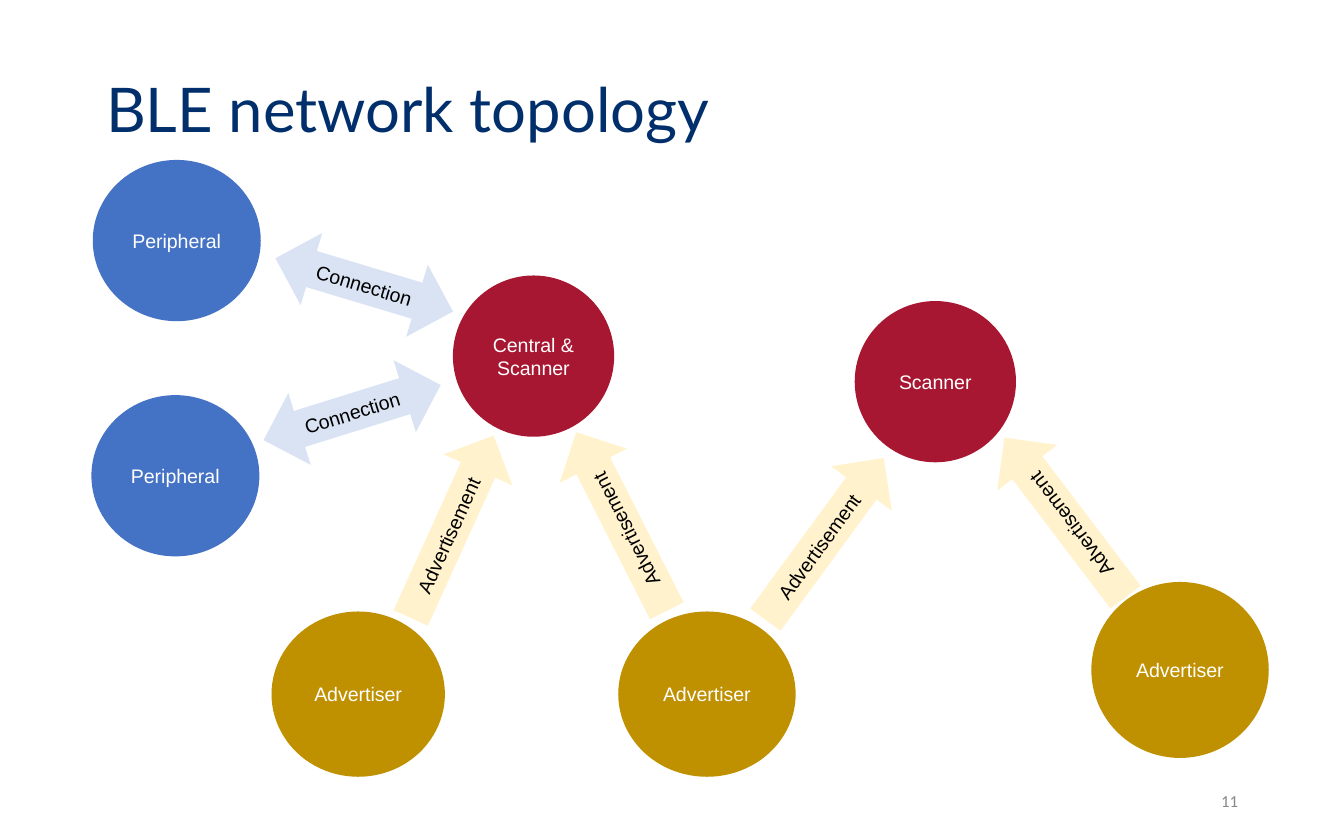
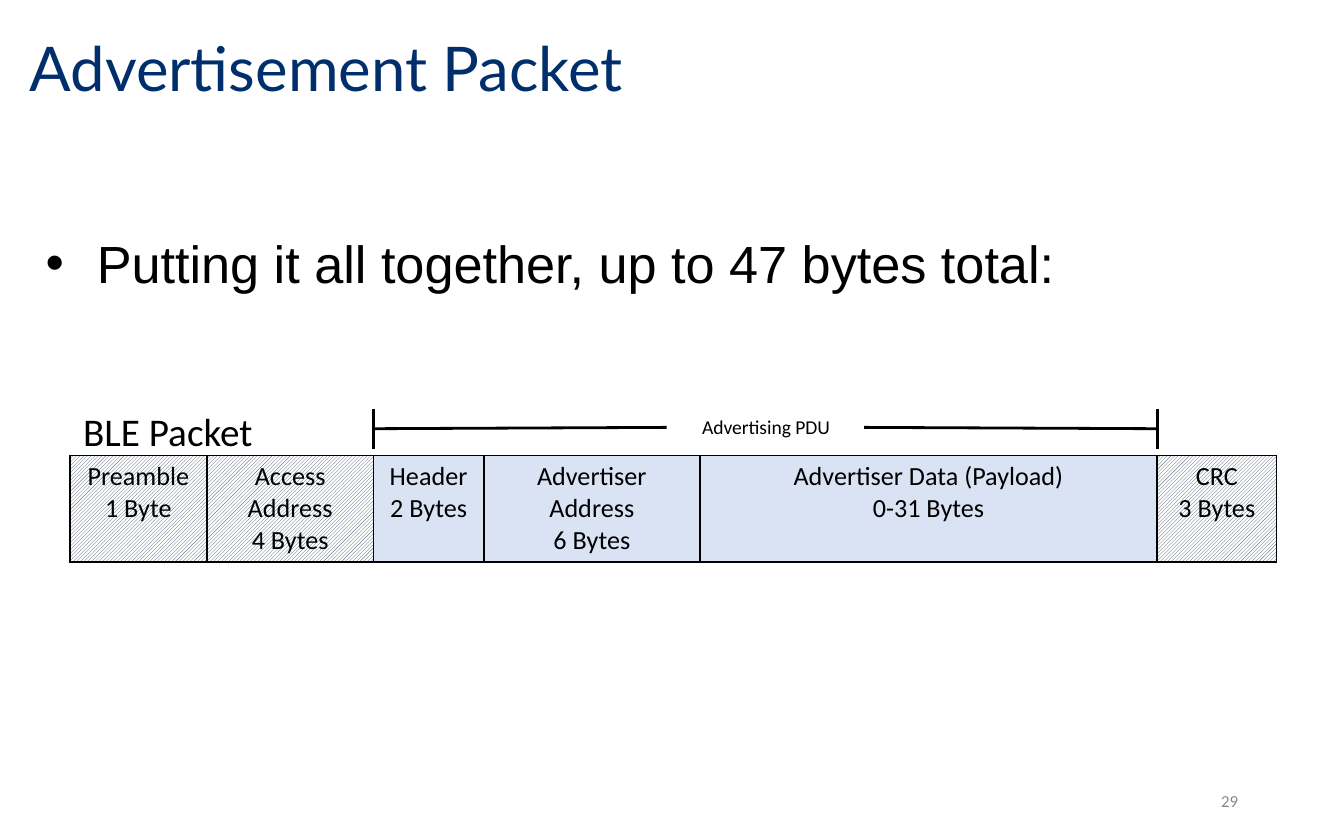
import pptx
import pptx.util
import pptx.dml.color
import pptx.enum.dml
import pptx.enum.shapes
import pptx.enum.text
import pptx.oxml.ns
from lxml import etree

Inches, Pt = pptx.util.Inches, pptx.util.Pt
SHAPE = pptx.enum.shapes.MSO_SHAPE
ALIGN = pptx.enum.text.PP_ALIGN
ANCHOR = pptx.enum.text.MSO_ANCHOR
qn = pptx.oxml.ns.qn

NAVY, BLACK, WHITE, GREY = "002F6C", "000000", "FFFFFF", "888888"
BLUE, RED, GOLD = "4472C4", "A71732", "BF9000"
PALE_BLUE, PALE_GOLD, SLATE = "DAE3F3", "FFF2CC", "44546A"


def rgb(hex_code):
    return pptx.dml.color.RGBColor.from_string(hex_code)


def place(shape, left, top, width, height):
    shape.left, shape.top = Inches(left), Inches(top)
    shape.width, shape.height = Inches(width), Inches(height)


def write(paragraph, text, size, font, color, align=ALIGN.LEFT):
    """Fill a paragraph, with a line break at each newline."""
    paragraph.alignment = align
    for number, line in enumerate(text.split("\n")):
        if number:
            paragraph.add_line_break()
            line_break = paragraph._p.findall(qn("a:br"))[-1]
            etree.SubElement(line_break, qn("a:rPr"), sz=str(size * 100))
        run = paragraph.add_run()
        run.text = line
        run.font.size = Pt(size)
        run.font.name = font
        run.font.color.rgb = rgb(color)


def add_label(slide, box, text, size, align=ALIGN.LEFT, color=BLACK,
              anchor=ANCHOR.TOP):
    label = slide.shapes.add_textbox(*map(Inches, box))
    frame = label.text_frame
    frame.word_wrap = True
    frame.vertical_anchor = anchor
    write(frame.paragraphs[0], text, size, "Calibri", color, align)


def add_slide(deck, layout, title, title_box, number):
    """Start a slide with its title and page number."""
    slide = deck.slides.add_slide(deck.slide_layouts[layout])
    heading = slide.shapes.title
    place(heading, *title_box)
    heading.text_frame.vertical_anchor = ANCHOR.MIDDLE
    paragraph = heading.text_frame.paragraphs[0]
    paragraph.line_spacing = 0.9
    write(paragraph, title, 33, "Lato", NAVY)
    add_label(slide, (7.06, 5.79, 2.25, 0.33), number, 9,
              ALIGN.RIGHT, GREY, ANCHOR.MIDDLE)
    return slide


def add_figure(slide, kind, box, fill, text, color, rotation=0):
    figure = slide.shapes.add_shape(kind, *map(Inches, box))
    figure.rotation = rotation
    figure.shadow.inherit = False
    figure.fill.solid()
    figure.fill.fore_color.rgb = rgb(fill)
    figure.line.fill.background()
    frame = figure.text_frame
    frame.word_wrap = True
    frame.vertical_anchor = ANCHOR.MIDDLE
    write(frame.paragraphs[0], text, 10.5, "Arial", color, ALIGN.CENTER)


def add_line(slide, start, end):
    line = slide.shapes.add_connector(
        pptx.enum.shapes.MSO_CONNECTOR.STRAIGHT, *map(Inches, start + end))
    line.line.color.rgb = rgb(BLACK)
    line.line.width = Pt(1.5)
    etree.SubElement(line._element.spPr, qn("a:effectLst"))


def add_bullet(paragraph, text):
    properties = paragraph._p.get_or_add_pPr()
    properties.set("marL", str(Inches(0.5)))
    properties.set("indent", str(Inches(-0.38)))
    etree.SubElement(properties, qn("a:buFont"), typeface="Arial")
    etree.SubElement(properties, qn("a:buChar"), char="•")
    paragraph.space_before = Pt(0)
    write(paragraph, text, 28, "Arial", BLACK)


def add_borders(cell):
    """Outline a cell; borders must come before its fill."""
    properties = cell._tc.get_or_add_tcPr()
    for position, side in enumerate(("a:lnL", "a:lnR", "a:lnT", "a:lnB")):
        border = etree.Element(qn(side), w=str(Pt(1)))
        fill = etree.SubElement(border, qn("a:solidFill"))
        etree.SubElement(fill, qn("a:srgbClr"), val=BLACK)
        properties.insert(position, border)


def fill_cell(cell, text, hatched):
    cell.margin_left = cell.margin_right = Inches(0.07)
    cell.margin_top = cell.margin_bottom = Inches(0.04)
    if hatched:
        cell.fill.patterned()
        cell.fill.pattern = pptx.enum.dml.MSO_PATTERN.DARK_UPWARD_DIAGONAL
        cell.fill.fore_color.rgb = rgb(SLATE)
        cell.fill.back_color.rgb = rgb(WHITE)
    else:
        cell.fill.solid()
        cell.fill.fore_color.rgb = rgb(PALE_BLUE)
    add_borders(cell)
    write(cell.text_frame.paragraphs[0], text, 14, "Calibri", BLACK,
          ALIGN.CENTER)


def add_packet(slide, fields):
    """Draw the packet as one row; each field is text, width, hatched."""
    width = sum(field[1] for field in fields)
    frame = slide.shapes.add_table(1, len(fields), Inches(0.52), Inches(3.39),
                                   Inches(width), Inches(0.79))
    packet = frame.table
    packet.first_row = packet.horz_banding = False
    for column, (text, field_width, hatched) in enumerate(fields):
        packet.columns[column].width = Inches(field_width)
        fill_cell(packet.cell(0, column), text, hatched)


def build_topology(deck):
    slide = add_slide(deck, 5, "BLE network topology",
                      (0.69, 0.29, 8.62, 1.09), "11")
    # Devices
    devices = [
        ("Advertiser", GOLD, (4.6, 4.55, 1.32, 1.23)),
        ("Peripheral", BLUE, (0.68, 2.94, 1.25, 1.2)),
        ("Advertiser", GOLD, (2.02, 4.55, 1.29, 1.23)),
        ("Advertiser", GOLD, (8.12, 4.33, 1.32, 1.31)),
        ("Peripheral", BLUE, (0.69, 1.19, 1.25, 1.2)),
        ("Central & Scanner", RED, (3.37, 2.05, 1.2, 1.2)),
        ("Scanner", RED, (6.36, 2.24, 1.2, 1.2)),
    ]
    for role, color, box in devices:
        add_figure(slide, SHAPE.OVAL, box, color, role, WHITE)

    # Links between peripherals and the central
    for left, top, angle in [(2.02, 1.84, 16.7), (1.93, 2.79, 342.7)]:
        add_figure(slide, SHAPE.LEFT_RIGHT_ARROW, (left, top, 1.38, 0.56),
                   PALE_BLUE, "Connection", BLACK, angle)

    # Advertisements going up to the scanners
    for left, top, angle in [(2.62, 3.64, 294.4), (3.88, 3.6, 243.1),
                             (5.39, 3.73, 306.2), (7.18, 3.57, 232.8)]:
        add_figure(slide, SHAPE.RIGHT_ARROW, (left, top, 1.49, 0.56),
                   PALE_GOLD, "Advertisement", BLACK, angle)


def build_packet(deck):
    slide = add_slide(deck, 1, "Advertisement Packet",
                      (0.12, 0.1, 8.52, 0.86), "29")
    summary = slide.placeholders[1]
    place(summary, 0.12, 1.67, 9.77, 3.96)
    add_bullet(summary.text_frame.paragraphs[0],
               "Putting it all together, up to 47 bytes total:")

    add_packet(slide, [
        ("Preamble\n1 Byte", 1.02, True),
        ("Access Address\n4 Bytes", 1.24, True),
        ("Header\n2 Bytes", 0.82, False),
        ("Advertiser Address\n6 Bytes", 1.61, False),
        ("Advertiser Data (Payload)\n0-31 Bytes", 3.4, False),
        ("CRC\n3 Bytes", 0.89, True),
    ])
    add_label(slide, (0.52, 2.98, 1.55, 0.45), "BLE Packet", 21)

    # Span of the PDU above the packet
    pdu_left, pdu_right = 2.78, 8.61
    for edge in (pdu_left, pdu_right):
        add_line(slide, (edge, 3.34), (edge, 3.04))
    add_label(slide, (4.96, 3.04, 1.48, 0.28), "Advertising PDU", 10.5,
              ALIGN.CENTER)
    add_line(slide, (pdu_left, 3.19), (4.96, 3.18))
    add_line(slide, (6.43, 3.18), (pdu_right, 3.19))


def main():
    deck = pptx.Presentation()
    deck.slide_width, deck.slide_height = Inches(10), Inches(6.25)
    build_topology(deck)
    build_packet(deck)
    deck.save("out.pptx")


if __name__ == "__main__":
    main()
